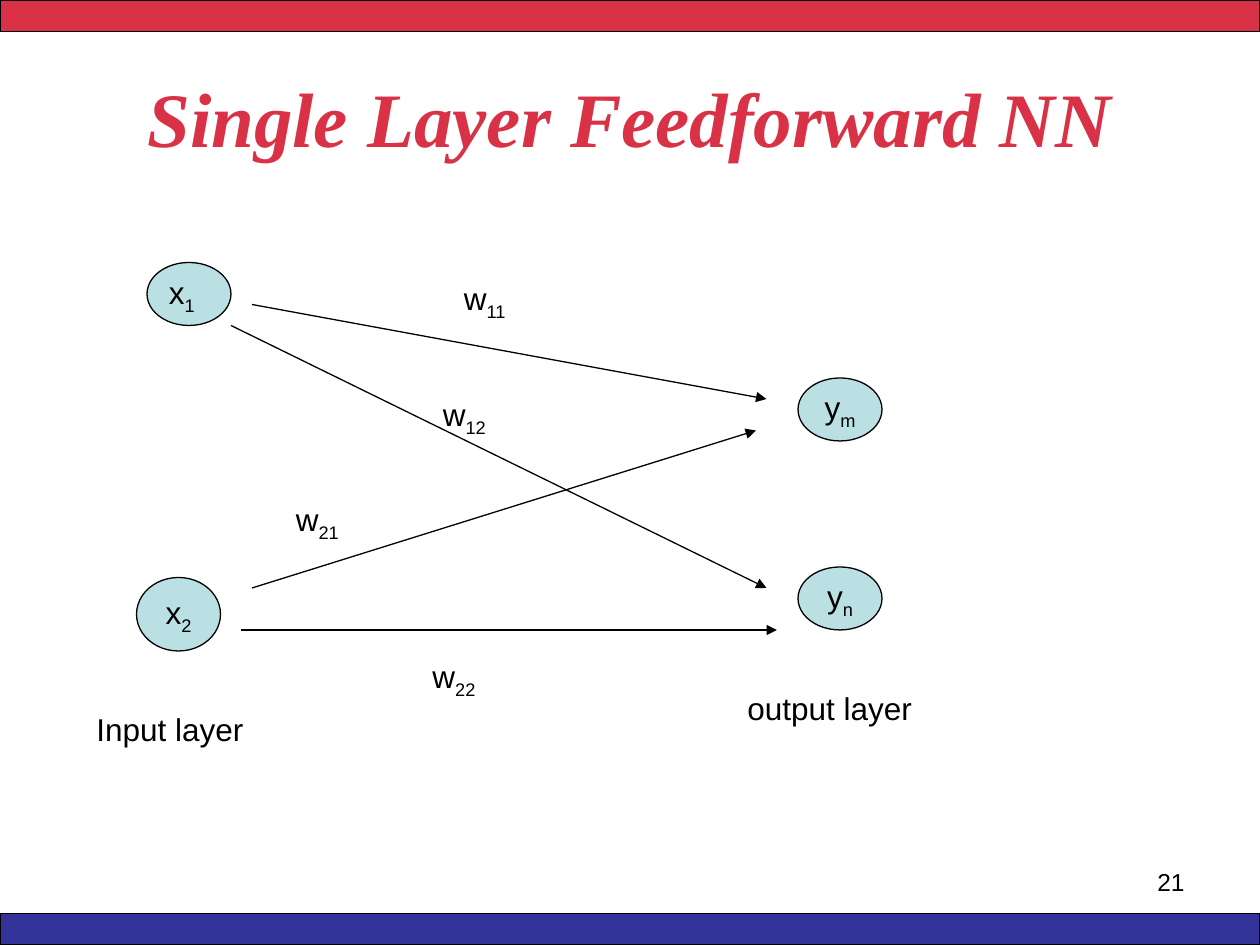
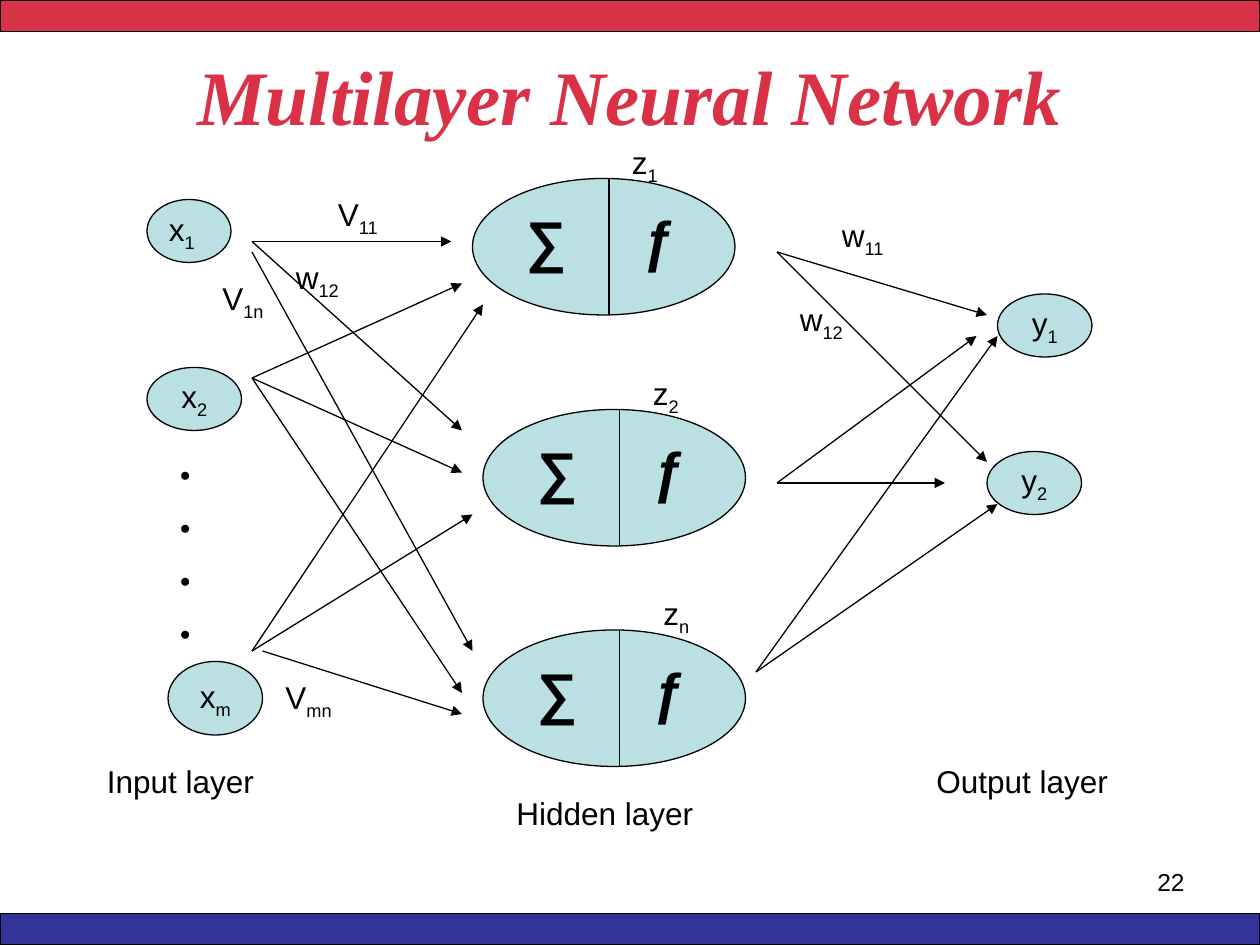
from dataclasses import dataclass
from typing import NamedTuple

import pptx
import pptx.dml.color
import pptx.enum.shapes
import pptx.enum.text
import pptx.oxml
import pptx.oxml.ns
import pptx.util
from pptx.presentation import Presentation
from pptx.shapes.autoshape import Shape
from pptx.slide import Slide
from pptx.text.text import TextFrame

RED = pptx.dml.color.RGBColor(0xD9, 0x31, 0x45)
BLUE = pptx.dml.color.RGBColor(0x33, 0x33, 0x99)
PALE_TEAL = pptx.dml.color.RGBColor(0xBB, 0xE0, 0xE3)
BLACK = pptx.dml.color.RGBColor(0, 0, 0)

PX = pptx.util.Emu(7620)  # 120 px to the inch
SLIDE_WIDTH, SLIDE_HEIGHT = 1200, 900
BAND_HEIGHT = 30
LINE_WIDTH = pptx.util.Pt(0.75)
NEURON_WIDTH, NEURON_HEIGHT = 250, 130
DIVIDER_OFFSET = 130

ALIGN = pptx.enum.text.PP_ALIGN
SHAPE = pptx.enum.shapes.MSO_SHAPE


class Box(NamedTuple):
    left: int
    top: int
    width: int
    height: int


class Arrow(NamedTuple):
    start_x: int
    start_y: int
    end_x: int
    end_y: int


class Node(NamedTuple):
    """An oval; in its text, what follows an underscore is a subscript."""
    box: Box
    text: str = ""


class Label(NamedTuple):
    text: str
    left: int
    top: int
    width: int = 120


class Neuron(NamedTuple):
    """A hidden unit, split into a sum and an activation half."""
    left: int
    top: int
    output: str
    output_offset: int


@dataclass(frozen=True)
class TextStyle:
    size: int = 18
    font: str = "Arial"
    color: pptx.dml.color.RGBColor = BLACK
    bold: bool = False
    italic: bool = False
    align: ALIGN = ALIGN.LEFT
    space_before: int = 0


BODY = TextStyle()
NODE_TEXT = TextStyle(align=ALIGN.CENTER)
TITLE = TextStyle(44, "Times New Roman", RED, True, True, ALIGN.CENTER)
PAGE_NUMBER = TextStyle(14, align=ALIGN.RIGHT)
SUM_SIGN = TextStyle(32, bold=True)
FUNCTION_SIGN = TextStyle(32, bold=True, italic=True)
DOTS = TextStyle(16, bold=True, space_before=11)


@dataclass(frozen=True)
class Network:
    title: str
    title_box: Box
    number: int
    nodes: tuple[Node, ...]
    arrows: tuple[Arrow, ...]
    labels: tuple[Label, ...]
    neurons: tuple[Neuron, ...] = ()
    dots: Box | None = None


SINGLE_LAYER = Network(
    title="Single Layer Feedforward NN",
    title_box=Box(60, 36, 1080, 150),
    number=21,
    nodes=(
        Node(Box(140, 250, 80, 60)),
        Node(Box(130, 550, 80, 70), "x_2"),
        Node(Box(760, 360, 80, 60), "y_m"),
        Node(Box(760, 540, 80, 60), "y_n"),
    ),
    arrows=(
        Arrow(240, 290, 730, 380),
        Arrow(220, 310, 730, 560),
        Arrow(240, 560, 720, 410),
        Arrow(230, 600, 740, 600),
    ),
    labels=(
        Label("x_1", 149, 254, 50),
        Label("w_11", 430, 260),
        Label("w_12", 410, 370),
        Label("w_21", 270, 470),
        Label("w_22", 400, 620),
        Label("Input layer", 80, 670, 210),
        Label("output layer", 700, 650, 210),
    ),
)

MULTILAYER = Network(
    title="Multilayer Neural Network",
    title_box=Box(60, 40, 1080, 100),
    number=22,
    nodes=(
        Node(Box(140, 190, 80, 60)),
        Node(Box(140, 350, 90, 60), "x_2"),
        Node(Box(160, 630, 90, 70), "x_m"),
        Node(Box(950, 280, 90, 60), "y_1"),
        Node(Box(940, 430, 90, 60), "y_2"),
    ),
    neurons=(
        Neuron(450, 170, "z_1", 140),
        Neuron(460, 390, "z_2", 150),
        Neuron(460, 600, "z_n", 160),
    ),
    arrows=(
        Arrow(240, 230, 430, 230),
        Arrow(240, 230, 440, 410),
        Arrow(240, 240, 450, 620),
        Arrow(240, 360, 440, 270),
        Arrow(240, 360, 440, 450),
        Arrow(240, 360, 440, 660),
        Arrow(240, 620, 460, 290),
        Arrow(240, 620, 450, 490),
        Arrow(250, 620, 440, 680),
        Arrow(740, 240, 940, 300),
        Arrow(740, 240, 940, 440),
        Arrow(740, 460, 930, 320),
        Arrow(740, 460, 900, 460),
        Arrow(720, 640, 950, 320),
        Arrow(720, 640, 950, 480),
    ),
    labels=(
        Label("x_1", 149, 194, 50),
        Label("V_11", 310, 180),
        Label("w_12", 270, 240),
        Label("V_1n", 200, 260),
        Label("V_mn", 260, 640),
        Label("w_11", 790, 200),
        Label("w_12", 750, 280),
        Label("Input layer", 90, 720, 210),
        Label("Hidden layer", 480, 750, 210),
        Label("Output layer", 880, 720, 210),
    ),
    dots=Box(160, 430, 80, 288),
)


def px(*lengths: int) -> list[pptx.util.Emu]:
    return [pptx.util.Emu(length * PX) for length in lengths]


def write_text(text_frame: TextFrame, text: str, style: TextStyle) -> None:
    """Fill the frame, setting what follows an underscore as a subscript."""
    base, _, subscript = text.partition("_")
    text_frame.text = base
    if subscript:
        run = text_frame.paragraphs[0].add_run()
        run.text = subscript
        run._r.get_or_add_rPr().set("baseline", "-25000")
    for index, paragraph in enumerate(text_frame.paragraphs):
        paragraph.alignment = style.align
        if index and style.space_before:
            paragraph.space_before = pptx.util.Pt(style.space_before)
        for run in paragraph.runs:
            run.font.name = style.font
            run.font.size = pptx.util.Pt(style.size)
            run.font.bold = style.bold
            run.font.italic = style.italic
            run.font.color.rgb = style.color


def add_text(slide: Slide, box: Box, text: str, style: TextStyle = BODY) -> TextFrame:
    text_frame = slide.shapes.add_textbox(*px(*box)).text_frame
    text_frame.word_wrap = True
    write_text(text_frame, text, style)
    return text_frame


def add_outlined(slide: Slide, kind: SHAPE, box: Box,
                 fill: pptx.dml.color.RGBColor) -> Shape:
    shape = slide.shapes.add_shape(kind, *px(*box))
    shape.shadow.inherit = False
    shape.fill.solid()
    shape.fill.fore_color.rgb = fill
    shape.line.color.rgb = BLACK
    shape.line.width = LINE_WIDTH
    return shape


def add_line(slide: Slide, ends: Arrow, arrowhead: bool = True) -> None:
    connector = slide.shapes.add_connector(
        pptx.enum.shapes.MSO_CONNECTOR.STRAIGHT, *px(*ends))
    connector.line.color.rgb = BLACK
    connector.line.width = LINE_WIDTH
    properties = connector._element.spPr
    if arrowhead:
        tail = pptx.oxml.parse_xml(
            f'<a:tailEnd {pptx.oxml.ns.nsdecls("a")} type="triangle"/>')
        properties.find(pptx.oxml.ns.qn("a:ln")).append(tail)
    properties.append(pptx.oxml.parse_xml(
        f'<a:effectLst {pptx.oxml.ns.nsdecls("a")}/>'))


def add_node(slide: Slide, node: Node) -> None:
    shape = add_outlined(slide, SHAPE.OVAL, node.box, PALE_TEAL)
    if node.text:
        shape.text_frame.word_wrap = False
        shape.text_frame.vertical_anchor = pptx.enum.text.MSO_ANCHOR.MIDDLE
        write_text(shape.text_frame, node.text, NODE_TEXT)


def add_neuron(slide: Slide, neuron: Neuron) -> None:
    left, top = neuron.left, neuron.top
    add_node(slide, Node(Box(left, top, NEURON_WIDTH, NEURON_HEIGHT)))
    divider = left + DIVIDER_OFFSET
    add_line(slide, Arrow(divider, top, divider, top + NEURON_HEIGHT), arrowhead=False)
    add_text(slide, Box(left + 40, top + 20, 60, 77), "∑", SUM_SIGN)
    add_text(slide, Box(left + 150, top + 20, 60, 77), "ƒ", FUNCTION_SIGN)
    add_text(slide, Box(left + neuron.output_offset, top - 40, 80, 53), neuron.output)


def add_frame(slide: Slide, network: Network) -> None:
    """Draw the bands, page number and title that every slide has."""
    for top, color in ((0, RED), (SLIDE_HEIGHT - BAND_HEIGHT, BLUE)):
        add_outlined(slide, SHAPE.RECTANGLE, Box(0, top, SLIDE_WIDTH, BAND_HEIGHT), color)
    add_text(slide, Box(860, 820, 280, 62), str(network.number), PAGE_NUMBER)
    title = add_text(slide, network.title_box, network.title, TITLE)
    title.vertical_anchor = pptx.enum.text.MSO_ANCHOR.MIDDLE


def add_network_slide(presentation: Presentation, network: Network) -> None:
    slide = presentation.slides.add_slide(presentation.slide_layouts[6])
    add_frame(slide, network)
    for node in network.nodes:
        add_node(slide, node)
    for neuron in network.neurons:
        add_neuron(slide, neuron)
    for arrow in network.arrows:
        add_line(slide, arrow)
    for label in network.labels:
        add_text(slide, Box(label.left, label.top, label.width, 53), label.text)
    if network.dots:
        add_text(slide, network.dots, "\n".join("•" * 4), DOTS)


def main() -> None:
    presentation = pptx.Presentation()
    presentation.slide_width, presentation.slide_height = px(SLIDE_WIDTH, SLIDE_HEIGHT)
    for network in (SINGLE_LAYER, MULTILAYER):
        add_network_slide(presentation, network)
    presentation.save("out.pptx")


if __name__ == "__main__":
    main()
